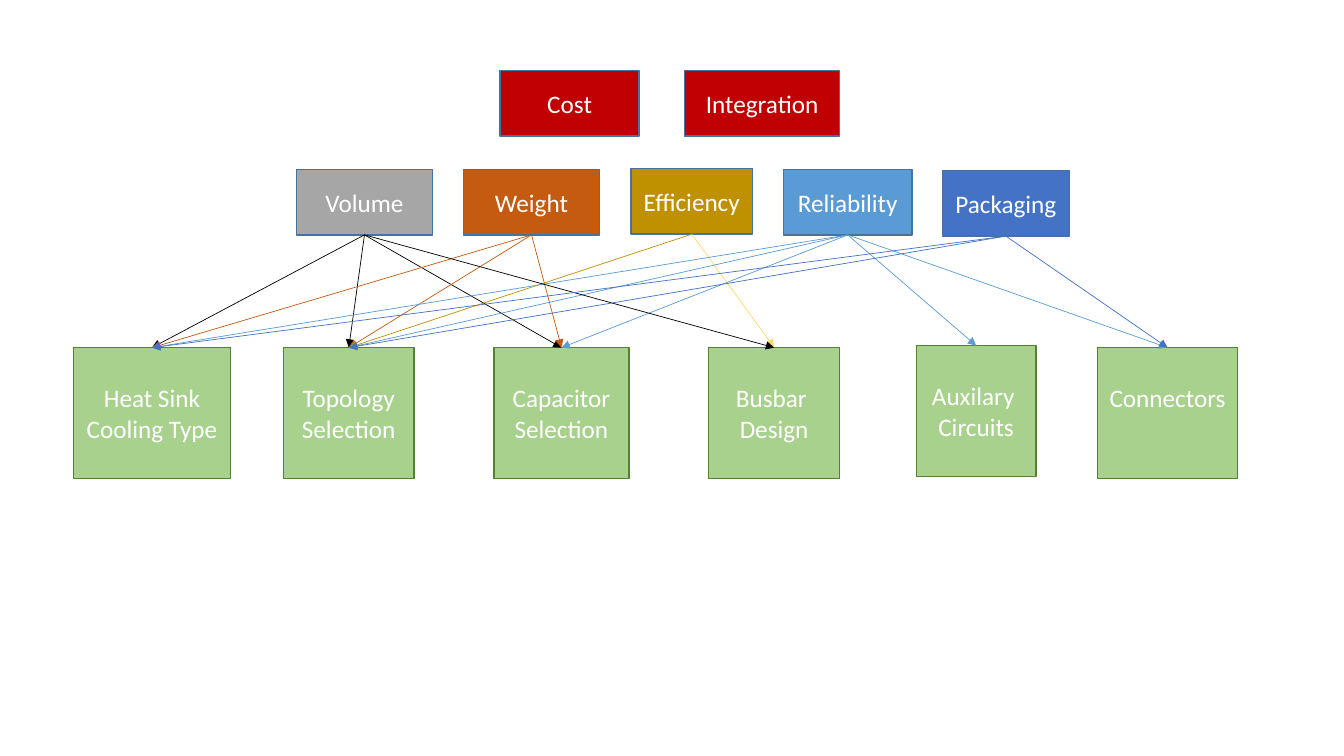
"""Build a slide that links design goals to the converter parts they affect."""
from lxml import etree
from pptx import Presentation
from pptx.dml.color import RGBColor as Rgb
from pptx.enum.shapes import MSO_CONNECTOR as Line, MSO_SHAPE as Shape
from pptx.enum.text import MSO_ANCHOR as Anchor, PP_ALIGN as Align
from pptx.oxml.ns import qn
from pptx.util import Cm, Pt

HUES = {
    "red": "C00000", "gray": "A6A6A6", "rust": "C55A11", "gold": "BF9000",
    "sky": "5B9BD5", "blue": "4472C4", "green": "A9D18E", "black": "000000",
    "yellow": "FFD966", "white": "FFFFFF", "navy": "43739E", "moss": "548235",
}

deck = Presentation()
deck.slide_width, deck.slide_height = Cm(33.87), Cm(19.05)
slide = deck.slides.add_slide(deck.slide_layouts[6])


def add_box(text, left, top, width, height=1.65, fill="red", edge="navy", foot=0.13):
    box = slide.shapes.add_shape(Shape.RECTANGLE, Cm(left), Cm(top), Cm(width), Cm(height))
    box.shadow.inherit = False
    box.fill.solid()
    box.fill.fore_color.rgb = Rgb.from_string(HUES[fill])
    box.line.color.rgb = Rgb.from_string(HUES[edge])
    box.line.width = Pt(1)
    frame = box.text_frame
    frame.word_wrap = True
    frame.vertical_anchor = Anchor.MIDDLE
    frame.margin_bottom = Cm(foot)
    frame.text = text
    for para in frame.paragraphs:
        para.alignment = Align.CENTER
        font = para.runs[0].font
        font.name, font.size = "Calibri", Pt(18)
        font.color.rgb = Rgb.from_string(HUES["white"])
    return box


def add_link(goal, part, hue):
    link = slide.shapes.add_connector(Line.STRAIGHT, 0, 0, 0, 0)
    link.begin_connect(goal, 2)
    link.end_connect(part, 0)
    link.line.color.rgb = Rgb.from_string(HUES[hue])
    link.line.width = Pt(0.5)
    etree.SubElement(link.line._get_or_add_ln(), qn("a:tailEnd"), type="triangle")
    etree.SubElement(link._element.spPr, qn("a:effectLst"))


add_box("Cost", 12.6, 1.78, 3.51)
add_box("Integration", 17.25, 1.78, 3.91)

goals = {}
for name, left, top, width, fill in [
    ("Volume", 7.47, 4.27, 3.43, "gray"),
    ("Weight", 11.68, 4.27, 3.43, "rust"),
    ("Efficiency", 15.9, 4.25, 3.07, "gold"),
    ("Reliability", 19.74, 4.27, 3.25, "sky"),
    ("Packaging", 23.75, 4.3, 3.2, "blue"),
]:
    goals[name] = add_box(name, left, top, width, fill=fill)

parts = {}
for key, text, left, top, width, foot in [
    ("sink", "Heat Sink Cooling Type", 1.85, 8.76, 3.96, 0.13),
    ("type", "Topology Selection", 7.14, 8.76, 3.3, 0.13),
    ("cap", "Capacitor\nSelection", 12.45, 8.76, 3.4, 0.13),
    ("bus", "Busbar \nDesign", 17.86, 8.76, 3.3, 0.13),
    ("aux", "Auxilary \nCircuits", 23.09, 8.71, 3.02, 0.13),
    ("plug", "Connectors", 27.66, 8.76, 3.53, 0.9),
]:
    parts[key] = add_box(text, left, top, width, 3.3, "green", "moss", foot)

for goal, hue, keys in [
    ("Volume", "black", ["sink", "cap", "type"]),
    ("Weight", "rust", ["sink", "type", "cap"]),
    ("Efficiency", "gold", ["type"]),
    ("Efficiency", "yellow", ["bus"]),
    ("Reliability", "sky", ["cap", "sink", "type", "aux", "plug"]),
    ("Volume", "black", ["bus"]),
    ("Packaging", "blue", ["sink", "type", "plug"]),
]:
    for key in keys:
        add_link(goals[goal], parts[key], hue)

deck.save("out.pptx")
